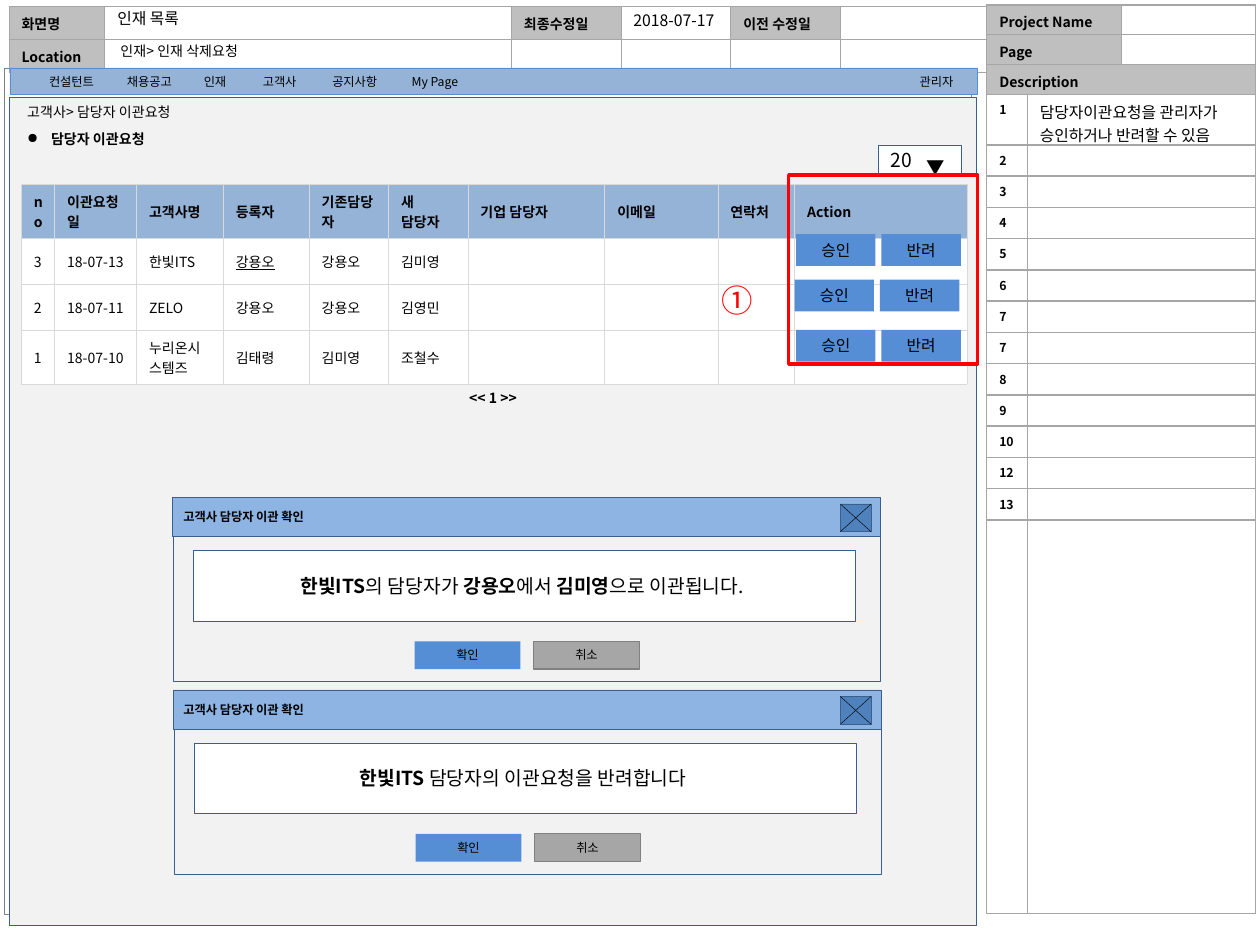
from lxml.etree import SubElement
from pptx import Presentation
from pptx.dml.color import RGBColor
from pptx.enum.shapes import MSO_CONNECTOR, MSO_SHAPE
from pptx.enum.text import MSO_ANCHOR as Anchor, MSO_AUTO_SIZE as AutoSize, PP_ALIGN as Align
from pptx.oxml.ns import qn
from pptx.util import Cm, Pt

FONT = "Noto Sans CJK KR"
BLACK = RGBColor(0x00, 0x00, 0x00)
WHITE = RGBColor(0xFF, 0xFF, 0xFF)
RED = RGBColor(0xFF, 0x00, 0x00)
PANEL = RGBColor(0xF2, 0xF2, 0xF2)
LABEL = RGBColor(0xBF, 0xBF, 0xBF)
GRID = RGBColor(0xD9, 0xD9, 0xD9)
GREY = RGBColor(0xA6, 0xA6, 0xA6)
DARK_GREY = RGBColor(0x80, 0x80, 0x80)
HEADER_BLUE = RGBColor(0x95, 0xB3, 0xD7)
BAR_BLUE = RGBColor(0x8E, 0xB4, 0xE3)
BUTTON_BLUE = RGBColor(0x55, 0x8E, 0xD5)
CLOSE_BLUE = RGBColor(0x4F, 0x81, 0xBD)
OUTLINE = RGBColor(0x3A, 0x5F, 0x8C)


def write(frame, text, size=8, bold=False, underline=False, color=BLACK,
          align=Align.LEFT, anchor=Anchor.TOP, bullet=None):
    """Fill a text frame; text is a string or a list of (string, bold) spans."""
    frame.word_wrap = True
    frame.vertical_anchor = anchor
    para = frame.paragraphs[0]
    para.alignment = align
    if bullet:
        props = para._p.get_or_add_pPr()
        props.set("marL", str(Cm(0.48)))
        props.set("indent", str(-Cm(0.48)))
        SubElement(props, qn("a:buChar"), char=bullet)
    for words, heavy in [(text, bold)] if isinstance(text, str) else text:
        span = para.add_run()
        span.text = words
        font = span.font
        font.name, font.size, font.bold = FONT, Pt(size), heavy
        font.underline = underline
        font.color.rgb = color
        SubElement(font._element, qn("a:ea"), typeface=FONT)


def set_border(cell, color, widths):
    """Draw the left, right, top and bottom edges of a cell, widths in points."""
    props = cell._tc.get_or_add_tcPr()
    for index, (side, width) in enumerate(zip("LRTB", widths)):
        edge = props.makeelement(qn(f"a:ln{side}"), {"w": str(Pt(width))})
        fill = SubElement(edge, qn("a:solidFill"))
        SubElement(fill, qn("a:srgbClr"), val=str(color))
        props.insert(index, edge)


class Wireframe:
    def __init__(self, page):
        self.page = page
        self.shapes = page.shapes

    def title(self, text, x, y, w, h, **style):
        title = self.shapes.title
        title.left, title.top, title.width, title.height = Cm(x), Cm(y), Cm(w), Cm(h)
        write(title.text_frame, text, **style)
        title.text_frame.auto_size = AutoSize.NONE
        title.element.getparent().append(title.element)  # bring above the header table

    def rect(self, x, y, w, h, fill=None, line=None, weight=0.25, text=None, **style):
        shape = self.shapes.add_shape(MSO_SHAPE.RECTANGLE, Cm(x), Cm(y), Cm(w), Cm(h))
        shape.shadow.inherit = False
        if fill is None:
            shape.fill.background()
        else:
            shape.fill.solid()
            shape.fill.fore_color.rgb = fill
        if line is None:
            shape.line.fill.background()
        else:
            shape.line.color.rgb = line
            shape.line.width = Pt(weight)
        if text:
            write(shape.text_frame, text, **style)

    def label(self, text, x, y, w, h, **style):
        box = self.shapes.add_textbox(Cm(x), Cm(y), Cm(w), Cm(h))
        write(box.text_frame, text, **style)

    def line(self, x1, y1, x2, y2):
        link = self.shapes.add_connector(MSO_CONNECTOR.STRAIGHT, Cm(x1), Cm(y1), Cm(x2), Cm(y2))
        link.line.color.rgb = BLACK
        link.line.width = Pt(0.25)
        SubElement(link._element.spPr, qn("a:effectLst"))

    def table(self, x, y, widths, heights):
        frame = self.shapes.add_table(len(heights), len(widths), Cm(x), Cm(y),
                                      Cm(sum(widths)), Cm(sum(heights)))
        table = frame.table
        table.first_row = table.horz_banding = False
        for column, width in zip(table.columns, widths):
            column.width = Cm(width)
        for row, height in zip(table.rows, heights):
            row.height = Cm(height)
        return table

    def cell(self, cell, text, fill, color, widths, **style):
        cell.fill.solid()
        cell.fill.fore_color.rgb = fill
        set_border(cell, color, widths)
        if text:
            write(cell.text_frame, text, **style)
            cell.vertical_anchor = style.get("anchor", Anchor.TOP)
        else:
            SubElement(cell.text_frame.paragraphs[0]._p, qn("a:endParaRPr"), sz="700")

    def dialog(self, x, y, message):
        self.rect(x, y, 14.27, 0.79, BAR_BLUE, OUTLINE)
        self.rect(x + 0.02, y + 0.79, 14.25, 2.92, PANEL, OUTLINE)
        self.label("고객사 담당자 이관 확인", 3.45, y + 0.12, 3.91, 0.56, size=7, bold=True)
        # Close button
        left, top, right, bottom = 16.94, y + 0.13, 17.56, y + 0.69
        self.rect(left, top, right - left, bottom - top, CLOSE_BLUE, OUTLINE)
        self.line(left, top, right, bottom)
        self.line(right, top, left, bottom)
        # Message and answers
        self.rect(x + 0.42, y + 1.07, 13.34, 1.42, WHITE, OUTLINE, text=message,
                  size=11, align=Align.CENTER, anchor=Anchor.MIDDLE)
        for text, offset, fill, line in (("확인", 4.88, BUTTON_BLUE, None),
                                         ("취소", 7.28, GREY, DARK_GREY)):
            self.rect(x + offset, y + 2.9, 2.13, 0.56, fill, line, 0.75, text,
                      size=7, align=Align.CENTER)


def main():
    deck = Presentation()
    deck.slide_width, deck.slide_height = Cm(25.4), Cm(19.05)
    wire = Wireframe(deck.slides.add_slide(deck.slide_layouts[5]))

    # Screen header
    header = wire.table(0.18, 0.13, [1.93, 8.2, 2.21, 2.21, 2.21, 3], [0.66] * 2)
    header_rows = [["화면명", "", "최종수정일", "", "이전 수정일", ""],
                   ["Location", "", "", "", "", ""]]
    for r, row in enumerate(header_rows):
        for c, text in enumerate(row):
            wire.cell(header.cell(r, c), text, LABEL if text else WHITE, GREY,
                      [0.5] * 4, bold=True)

    # Frame and content panel
    wire.rect(0.08, 1.37, 19.51, 17.07, line=DARK_GREY)
    wire.rect(0.18, 1.96, 19.51, 16.69, PANEL, OUTLINE)

    # Request list
    requests = [
        ["no", "이관요청일", "고객사명", "등록자", "기존담당자", "새 담당자",
         "기업 담당자", "이메일", "연락처", "Action"],
        ["3", "18-07-13", "한빛ITS", "강용오", "강용오", "김미영"],
        ["2", "18-07-11", "ZELO", "강용오", "강용오", "김영민"],
        ["1", "18-07-10", "누리온시스템즈", "김태령", "김미영", "조철수"],
    ]
    widths = [0.67, 1.65, 1.75, 1.73, 1.6, 1.6, 2.76, 2.28, 1.55, 3.48]
    listing = wire.table(0.43, 3.71, widths, [1.09, 0.93, 0.93, 1.07])
    for r, row in enumerate(requests):
        for c in range(len(widths)):
            wire.cell(listing.cell(r, c), row[c] if c < len(row) else "",
                      WHITE if r else HEADER_BLUE, GRID, [0.25] * 4,
                      bold=r == 0, underline=(r, c) == (1, 3), anchor=Anchor.MIDDLE)
    wire.label("<< 1 >>", 7.11, 7.72, 5.66, 0.61, bold=True, align=Align.CENTER)

    # Rows-per-page selector
    wire.rect(17.7, 2.92, 1.68, 0.61, WHITE, OUTLINE, text="20", size=11, anchor=Anchor.MIDDLE)
    wire.label("▼", 18.42, 3.02, 1.09, 0.74, size=10.5)

    # Approve and reject buttons
    for x, y in ((16.05, 4.72), (16.02, 5.64), (16.05, 6.65)):
        for text, offset in (("승인", 0), ("반려", 1.72)):
            wire.rect(x + offset, y, 1.6, 0.64, BUTTON_BLUE, text=text, size=9,
                      align=Align.CENTER)

    # Title, date, location and section heading
    wire.title("인재 목록", 2.11, 0.05, 7.8, 0.64, size=9)
    wire.label("2018-07-17", 12.52, 0.1, 2.39, 0.64, size=9)
    wire.label("인재> 인재 삭제요청", 2.18, 0.74, 6.58, 0.61)
    wire.label("고객사> 담당자 이관요청", 0.3, 1.96, 6.58, 0.61)
    wire.label("담당자 이관요청", 0.3, 2.51, 4.8, 0.61, bold=True, bullet="●")

    # Confirmation dialogs
    wire.dialog(3.48, 10.03, [("한빛ITS", True), ("의 담당자가 ", False), ("강용오", True),
                              ("에서 ", False), ("김미영", True), ("으로 이관됩니다. ", False)])
    wire.dialog(3.5, 13.91, [("한빛ITS", True), (" 담당자의 이관요청을 반려합니다 ", False)])

    # Description table
    captions = ["Project Name", "Page", "Description"]
    numbers = ["1", "2", "3", "4", "5", "6", "7", "7", "8", "9", "10", "12", "13", ""]
    notes = {"1": "담당자이관요청을 관리자가 승인하거나 반려할 수 있음"}
    heights = [0.6] * 3 + [1.02] + [0.63] * 12 + [7.94]
    details = wire.table(19.89, 0.1, [0.82, 1.9, 2.7], heights)
    for r in range(len(heights)):
        for c in range(3):
            cell = details.cell(r, c)
            cell.margin_bottom = 0
            if r < len(captions):
                fill = WHITE if c == 2 and r < 2 else LABEL
                wire.cell(cell, "" if c else captions[r], fill, GREY, [1] * 4, bold=True)
            elif c == 0:
                cell.margin_right = 0  # room for two digits on one line
                wire.cell(cell, numbers[r - 3], WHITE, GREY, [1, 0.5, 1, 1], size=7, bold=True)
            else:
                note = notes.get(numbers[r - 3], "") if c == 1 else ""
                wire.cell(cell, note, WHITE, GREY, [0.5, 1, 1, 1], size=9)
        first, last = ((0, 1), (0, 1), (0, 2))[r] if r < 3 else (1, 2)
        details.cell(r, first).merge(details.cell(r, last))

    # Highlight of the actions
    wire.rect(15.9, 3.53, 3.81, 3.81, line=RED, weight=2)
    wire.label("①", 14.3, 5.54, 1.4, 1.02, size=18, color=RED)

    # Navigation bar
    wire.rect(0.2, 1.37, 19.51, 0.53, HEADER_BLUE, BUTTON_BLUE)
    for text, x in (("컨설턴트", 0.74), ("채용공고", 2.31), ("인재", 3.86), ("고객사", 5.05),
                    ("공지사항", 6.45), ("My Page", 8.05), ("관리자", 18.29)):
        wire.label(text, x, 1.38, 1.6, 0.56, size=7)

    deck.save("out.pptx")


if __name__ == "__main__":
    main()
